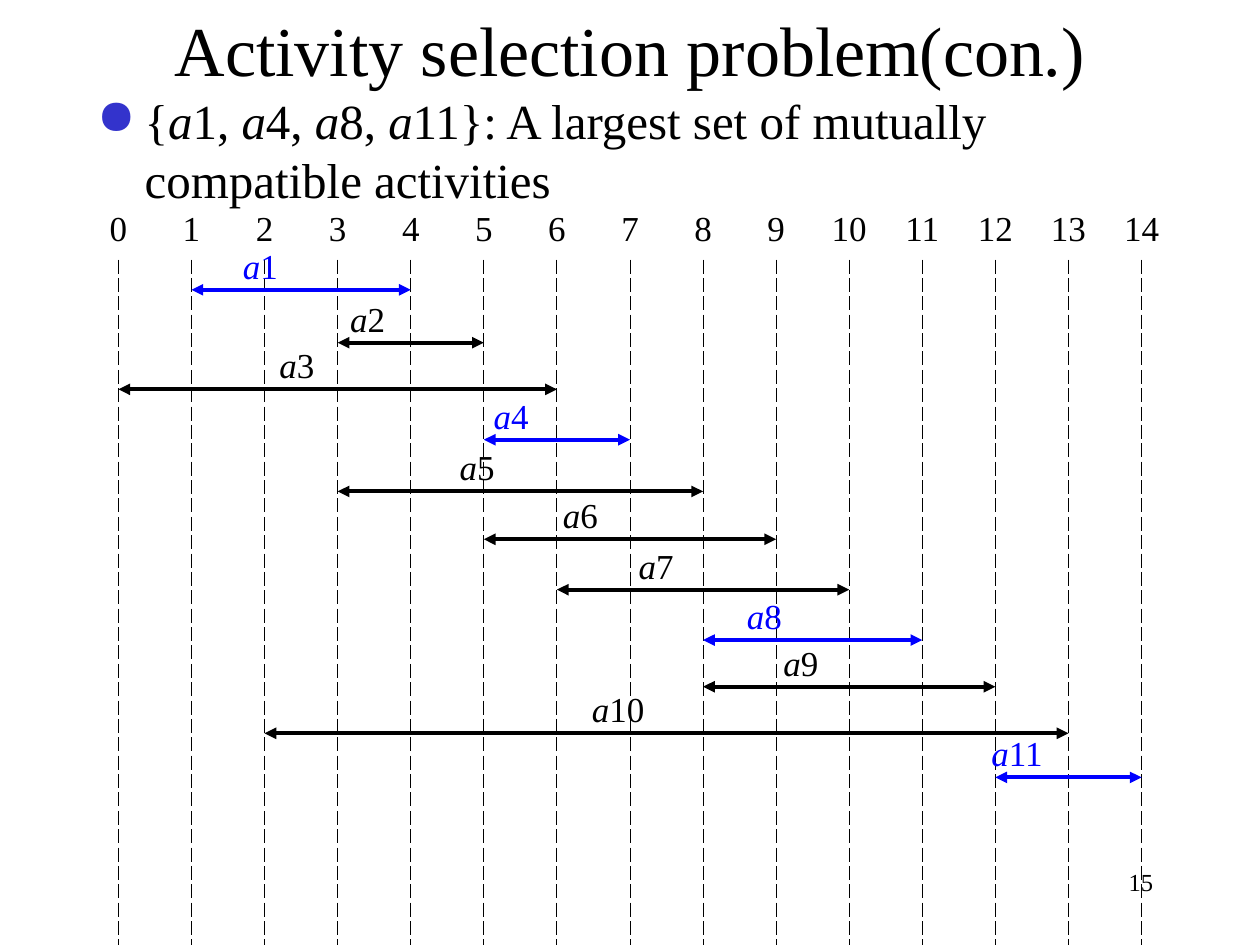
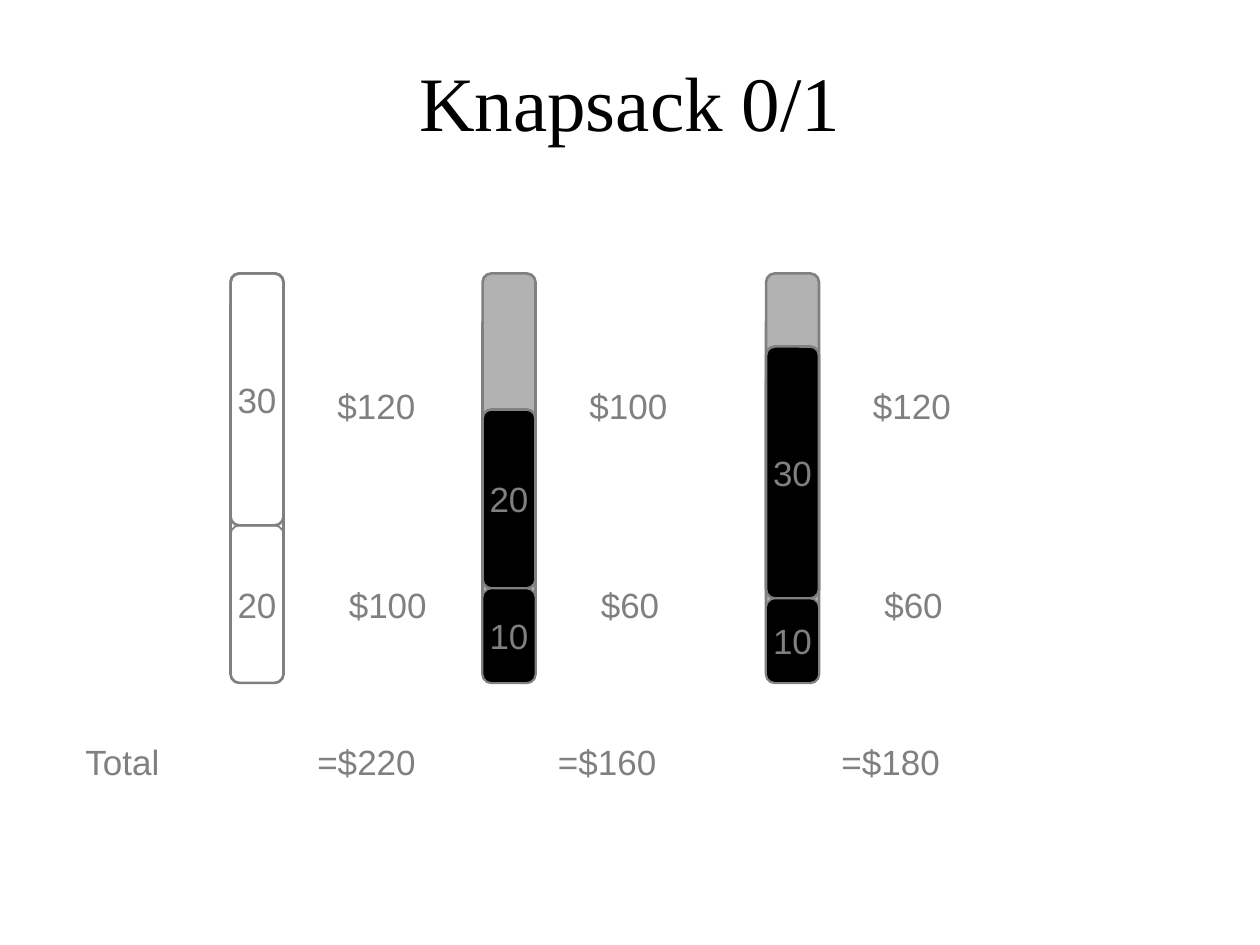
from lxml import etree
from pptx import Presentation
from pptx import util as u
from pptx.dml.color import RGBColor
from pptx.enum import dml, shapes, text
from pptx.oxml import ns

BLACK = RGBColor(0x00, 0x00, 0x00)
BLUE = RGBColor(0x00, 0x00, 0xFF)
GREY = RGBColor(0x80, 0x80, 0x80)
SILVER = RGBColor(0xB2, 0xB2, 0xB2)
SERIF, SANS = "Times New Roman", "Arial"
LEFT, MID, RIGHT = text.PP_ALIGN.LEFT, text.PP_ALIGN.CENTER, text.PP_ALIGN.RIGHT


def sub(parent, tag, **attrs):
    """Append a DrawingML element."""
    return etree.SubElement(parent, ns.qn("a:" + tag), attrs)


def put(group, box, runs, size, face=SERIF, color=BLACK, align=LEFT, bullet=None):
    """Add a text box; runs that are just "a" are set in italics."""
    shape = group.add_textbox(*map(u.Inches, box))
    frame = shape.text_frame
    frame.word_wrap = True
    para = frame.paragraphs[0]
    para.alignment = align
    if bullet:
        props = para._p.get_or_add_pPr()
        props.set("marL", str(u.Inches(0.38)))
        props.set("indent", str(-u.Inches(0.38)))
        sub(sub(props, "buClr"), "srgbClr", val="3333CC")
        sub(props, "buChar", char=bullet)
    para.font.size = u.Pt(size)
    para.font.name = face
    para.font.color.rgb = color
    for part in runs:
        run = para.add_run()
        run.text = part
        if part == "a":
            run.font.italic = True
    return frame


deck = Presentation()
deck.slide_width, deck.slide_height = u.Inches(10), u.Inches(7.5)
blank = deck.slide_layouts[6]

# Slide 1: activity selection
page = deck.slides.add_slide(blank).shapes
put(page, (7.17, 6.83, 2.08, 0.5), ["15"], 14, align=RIGHT)
put(page, (0.5, 0, 9, 0.95), ["Activity selection problem(con.)"], 40, align=MID)

# Time grid: one header row over dashed columns
STEP, EDGE, COLS, ROWS = 0.58, 0.36, 16, 12
frame = page.add_table(ROWS, COLS, u.Inches(EDGE), u.Inches(1.62),
                       u.Inches(STEP * COLS), u.Inches(5.94))
grid = frame.table
grid.first_row = grid.horz_banding = False
for col in grid.columns:
    col.width = u.Inches(STEP)
for r, row in enumerate(grid.rows):
    row.height = u.Inches(0.5 if r else 0.44)
    for c, cell in enumerate(row.cells):
        props = cell._tc.get_or_add_tcPr()
        for side in ("lnL", "lnR", "lnT", "lnB"):
            outer = (side, c) in (("lnL", 0), ("lnR", COLS - 1))
            line = sub(props, side, w=str(u.Pt(0.45)))
            if r and side in ("lnL", "lnR") and not outer:
                sub(sub(line, "solidFill"), "srgbClr", val="000000")
                sub(line, "prstDash", val="dash")
            else:
                sub(line, "noFill")
        cell.fill.background()

# Hours, each centred on its grid line
head = grid.cell(0, 0)
head.merge(grid.cell(0, COLS - 1))
para = head.text_frame.paragraphs[0]
tabs = sub(para._p.get_or_add_pPr(), "tabLst")
for hour in range(15):
    sub(tabs, "tab", pos=str(u.Inches(STEP * (hour + 1) - 0.1)), algn="ctr")
para.font.size = u.Pt(20)
para.font.name = SERIF
para.font.color.rgb = BLACK
para.add_run().text = "".join(f"\t{hour}" for hour in range(15))

# Activities: start, end, height of the arrow, left of the label
acts = [
    (1, 4, 2.3, 1.83), (3, 5, 2.72, 2.68), (0, 6, 3.09, 2.12),
    (5, 7, 3.49, 3.82), (3, 8, 3.9, 3.55), (5, 9, 4.28, 4.37),
    (6, 10, 4.68, 4.97), (8, 11, 5.08, 5.83), (8, 12, 5.45, 6.12),
    (2, 13, 5.82, 4.6), (12, 14, 6.17, 7.77),
]
chosen = {1, 4, 8, 11}
for num, (start, end, y, x) in enumerate(acts, 1):
    color = BLUE if num in chosen else BLACK
    x1, x2 = (u.Inches(EDGE + STEP * (hour + 1)) for hour in (start, end))
    arrow = page.add_connector(shapes.MSO_CONNECTOR.STRAIGHT,
                               x1, u.Inches(y), x2, u.Inches(y))
    arrow.line.color.rgb = color
    arrow.line.width = u.Pt(2.25)
    line = arrow.line._get_or_add_ln()
    sub(line, "headEnd", type="triangle")
    sub(line, "tailEnd", type="triangle")
    sub(arrow._element.spPr, "effectLst")
    put(page, (x, y - 0.41, 1.3, 0.44), ["a", str(num)], 20, color=color)

put(page, (0.67, 0.67, 8.98, 1.04),
    ["{", "a", "1, ", "a", "4, ", "a", "8, ", "a",
     "11}: A largest set of mutually compatible activities"], 28, bullet="●")

# Slide 2: knapsack
page = deck.slides.add_slide(blank).shapes
title = put(page, (0.75, 0.17, 8.5, 1.25), ["Knapsack 0/1"], 44, align=MID)
title.vertical_anchor = text.MSO_ANCHOR.MIDDLE
put(page, (0.58, 5.83, 1.08, 0.44), ["Total"], 20, SANS, GREY)

# Sacks: left, fills of sack and items, items as (top, weight), prices, total
TOP, BASE = 2.17, 5.42
sacks = [
    (1.83, None, None, [(2.17, "30"), (4.17, "20")], ("$120", "$100"), (2.42, "=$220")),
    (3.83, SILVER, BLACK, [(3.25, "20"), (4.67, "10")], ("$100", "$60"), (4.33, "=$160")),
    (6.08, SILVER, BLACK, [(2.75, "30"), (4.75, "10")], ("$120", "$60"), (6.58, "=$180")),
]
for x, back, fill, items, (high, low), (left, total) in sacks:
    group = page.add_group_shape().shapes
    (top1, name1), (top2, name2) = items
    bars = [(TOP, BASE, back, "", 1.5), (top1, top2, fill, name1, 1.5),
            (top2, BASE, fill, name2, 1)]
    for top, end, tone, label, width in bars:
        bar = group.add_shape(shapes.MSO_SHAPE.ROUNDED_RECTANGLE, u.Inches(x),
                              u.Inches(top), u.Inches(0.42), u.Inches(end - top))
        bar.shadow.inherit = False
        if tone is None:
            bar.fill.background()
        else:
            bar.fill.solid()
            bar.fill.fore_color.rgb = tone
        bar.line.color.rgb = GREY
        bar.line.width = u.Pt(width)
        if label:
            bar.text_frame.word_wrap = False
            para = bar.text_frame.paragraphs[0]
            para.alignment = MID
            para.font.size = u.Pt(20)
            para.font.name = SANS
            para.font.color.rgb = GREY
            para.add_run().text = label
    put(group, (x + 0.75, 3, 0.83, 0.44), [high], 20, SANS, GREY)
    put(group, (x + 0.84, 4.58, 0.83, 0.44), [low], 20, SANS, GREY)
    put(group, (left, 5.83, 1.25, 0.44), [total], 20, SANS, GREY)

deck.save("out.pptx")
